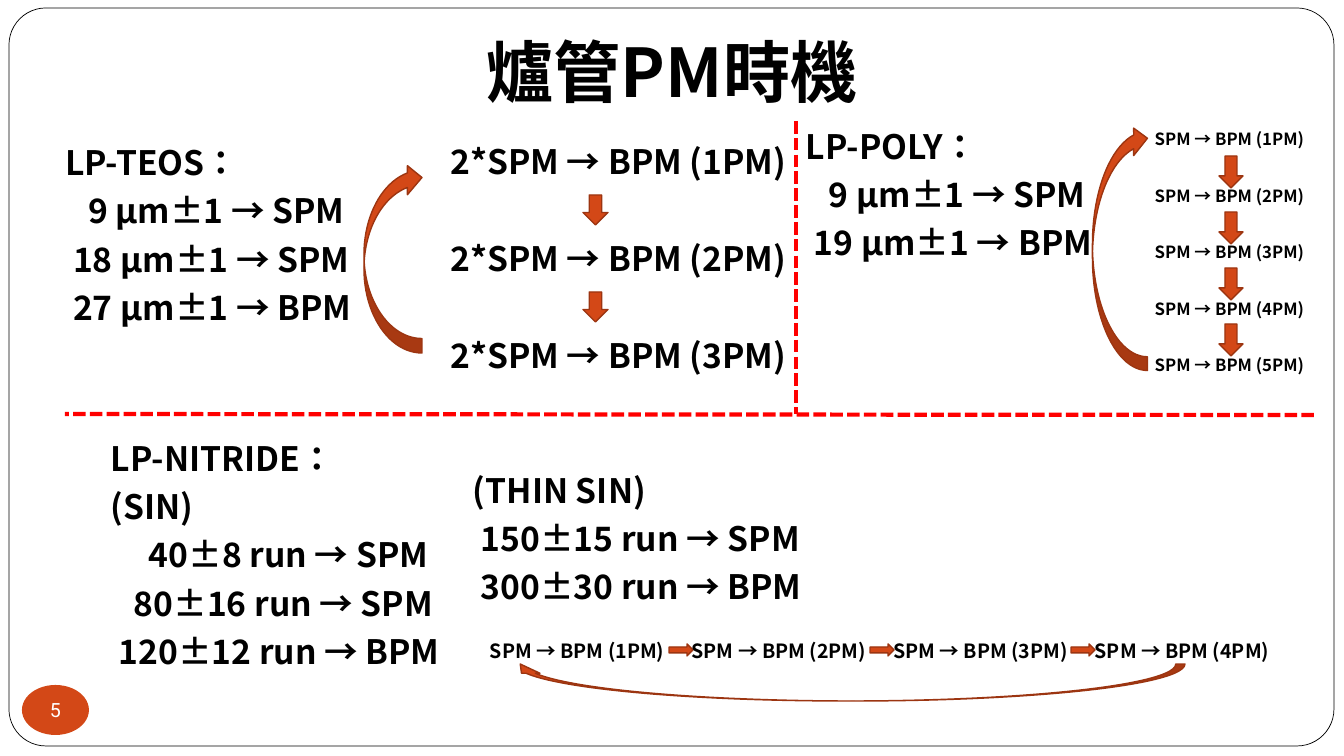
from pptx import Presentation
from pptx.dml.color import RGBColor
from pptx.enum.dml import MSO_LINE_DASH_STYLE as DASH
from pptx.enum.shapes import MSO_CONNECTOR, MSO_SHAPE as SHAPE
from pptx.enum.text import MSO_ANCHOR as ANCHOR, MSO_AUTO_SIZE as AUTO_SIZE, PP_ALIGN as ALIGN
from pptx.oxml.ns import qn
from pptx.util import Pt
from lxml.etree import SubElement

COLORS = {"paper": "FFFFFF", "ink": "000000", "accent": "D34817",
          "accent_edge": "9C3511", "divider": "FF0000"}
FONT, NUMBER_FONT, LANGUAGE = "Noto Sans CJK SC", "Roboto", "zh-TW"
EMU_PER_PX = 914400 / 100.8
PARAGRAPH_GAP = 5.6

TITLE = "爐管PM時機"
PAGE_NUMBER = "5"

# Each line: (text, indent in px)
TEOS = [("LP-TEOS：", 0), ("9 μm±1 → SPM", 23), ("18 μm±1 → SPM", 8), ("27 μm±1 → BPM", 8)]
POLY = [("LP-POLY：", 0), ("9 μm±1 → SPM", 23), ("19 μm±1 → BPM", 8)]
NITRIDE = [("LP-NITRIDE：", 0), ("(SIN)", 0), ("40±8 run → SPM", 38),
           ("80±16 run → SPM", 23), ("120±12 run → BPM", 8)]
THIN_SIN = [("(THIN SIN)", 0), ("150±15 run → SPM", 8), ("300±30 run → BPM", 8)]
TEOS_CYCLE = [(f"2*SPM → BPM ({number}PM)", 0) for number in range(1, 4)]
POLY_CYCLE = [(f"SPM → BPM ({number}PM)", 0) for number in range(1, 6)]
NITRIDE_STEPS = [f"SPM → BPM ({number}PM)" for number in range(1, 5)]
NITRIDE_STEP = 201

# Text boxes: lines, (left, top, width, height), size, alignment, paragraph gap
TEXT_BOXES = [
    (TEOS_CYCLE, (388, 136, 408, 242), 24, ALIGN.RIGHT, 40.4),
    (POLY, (796, 121, 320, 170), 24, ALIGN.LEFT, PARAGRAPH_GAP),
    (POLY_CYCLE, (1140, 124, 174, 262), 12, ALIGN.RIGHT, 25.9),
    (NITRIDE, (101, 433, 395, 301), 24, ALIGN.LEFT, PARAGRAPH_GAP),
    (THIN_SIN, (463, 465, 453, 170), 24, ALIGN.LEFT, PARAGRAPH_GAP),
    ([("\t".join(NITRIDE_STEPS), 0)], (480, 634, 850, 34), 14, ALIGN.LEFT, PARAGRAPH_GAP),
]

# Rows of arrows: preset, first box, step (x, y), count
ARROW_ROWS = [
    (SHAPE.DOWN_ARROW, (583, 195, 25, 30), (0, 97), 2),
    (SHAPE.DOWN_ARROW, (1219, 156, 24, 32), (0, 56), 4),
    (SHAPE.RIGHT_ARROW, (669, 644, 24, 12), (NITRIDE_STEP, 0), 3),
]
# Return arrows: box before rotation, rotation
RETURN_ARROWS = [
    ((298, 229, 190, 58), 270),
    ((997, 220, 246, 55), 270),
    ((511, 664, 674, 37), 180),
]
DIVIDERS = [(796, 121, 796, 414), (1314, 415, 65, 414)]


def px(*lengths):
    return [round(length * EMU_PER_PX) for length in lengths]


def rgb(name):
    return RGBColor.from_string(COLORS[name])


def format_run(run, size, color="ink", font=FONT, bold=True):
    run.font.size, run.font.bold, run.font.name = Pt(size), bold, font
    run.font.color.rgb = rgb(color)
    properties = run._r.get_or_add_rPr()
    properties.set("lang", LANGUAGE)
    SubElement(properties, qn("a:ea"), typeface=font)


def write_lines(text_frame, lines, size, alignment, gap):
    text_frame.word_wrap = True
    text_frame.auto_size = AUTO_SIZE.NONE
    text_frame.vertical_anchor = ANCHOR.TOP
    text_frame.text = "\n".join(text for text, _ in lines)
    for index, (paragraph, (text, indent)) in enumerate(zip(text_frame.paragraphs, lines)):
        properties = paragraph._p.get_or_add_pPr()
        properties.set("marL", str(px(indent)[0]))
        properties.set("indent", "0")
        SubElement(properties, qn("a:buNone"))
        if "\t" in text:
            tabs = SubElement(properties, qn("a:tabLst"))
            for number in range(1, text.count("\t") + 1):
                SubElement(tabs, qn("a:tab"), pos=str(px(number * NITRIDE_STEP)[0]), algn="l")
        paragraph.alignment = alignment
        paragraph.space_before = Pt(gap if index else 0)
        for run in paragraph.runs:
            format_run(run, size)


def add_filled_shape(slide, preset, box, fill, line=None, line_width=1.0):
    shape = slide.shapes.add_shape(preset, *px(*box))
    shape.shadow.inherit = False
    shape.fill.solid()
    shape.fill.fore_color.rgb = rgb(fill)
    if line:
        shape.line.color.rgb = rgb(line)
        shape.line.width = Pt(line_width)
    else:
        shape.line.fill.background()
    return shape


def place(shape, box):
    shape.left, shape.top, shape.width, shape.height = px(*box)


def add_frame(slide):
    frame = add_filled_shape(slide, SHAPE.ROUNDED_RECTANGLE, (9, 8, 1325, 738),
                             "paper", "ink", 0.5)
    frame.adjustments[0] = 0.05
    slide.shapes._spTree.insert(2, frame._element)


def add_title(slide):
    title = slide.shapes.title
    place(title, (101, -5, 1142, 126))
    text_frame = title.text_frame
    text_frame.text = TITLE
    text_frame.auto_size = AUTO_SIZE.NONE
    text_frame.vertical_anchor = ANCHOR.BOTTOM
    text_frame.margin_bottom = px(10)[0]
    text_frame.paragraphs[0].alignment = ALIGN.CENTER
    format_run(text_frame.paragraphs[0].runs[0], 48)


def add_page_number(slide):
    badge = add_filled_shape(slide, SHAPE.OVAL, (22, 685, 67, 50), "accent")
    text_frame = badge.text_frame
    text_frame.margin_left = text_frame.margin_right = 0
    text_frame.margin_top = text_frame.margin_bottom = 0
    text_frame.word_wrap = False
    text_frame.vertical_anchor = ANCHOR.MIDDLE
    text_frame.text = PAGE_NUMBER
    text_frame.paragraphs[0].alignment = ALIGN.CENTER
    format_run(text_frame.paragraphs[0].runs[0], 14, "paper", NUMBER_FONT, False)


def add_arrows(slide):
    for preset, (left, top, width, height), (step_x, step_y), count in ARROW_ROWS:
        for index in range(count):
            box = (left + index * step_x, top + index * step_y, width, height)
            add_filled_shape(slide, preset, box, "accent", "accent_edge")
    for box, rotation in RETURN_ARROWS:
        arrow = add_filled_shape(slide, SHAPE.CURVED_DOWN_ARROW, box, "accent", "accent_edge")
        arrow.rotation = rotation


def add_dividers(slide):
    for ends in DIVIDERS:
        divider = slide.shapes.add_connector(MSO_CONNECTOR.STRAIGHT, *px(*ends))
        divider.line.color.rgb = rgb("divider")
        divider.line.width = Pt(3)
        divider.line.dash_style = DASH.SQUARE_DOT
        SubElement(divider._element.spPr, qn("a:effectLst"))


def main():
    presentation = Presentation()
    presentation.slide_width, presentation.slide_height = px(1344, 756)
    slide = presentation.slides.add_slide(presentation.slide_layouts[1])
    add_frame(slide)
    add_title(slide)
    body = slide.placeholders[1]
    place(body, (55, 137, 1142, 504))
    write_lines(body.text_frame, TEOS, 24, ALIGN.LEFT, PARAGRAPH_GAP)
    add_page_number(slide)
    add_arrows(slide)
    for lines, box, size, alignment, gap in TEXT_BOXES:
        text_box = slide.shapes.add_textbox(*px(*box))
        write_lines(text_box.text_frame, lines, size, alignment, gap)
    add_dividers(slide)
    presentation.save("out.pptx")


if __name__ == "__main__":
    main()
